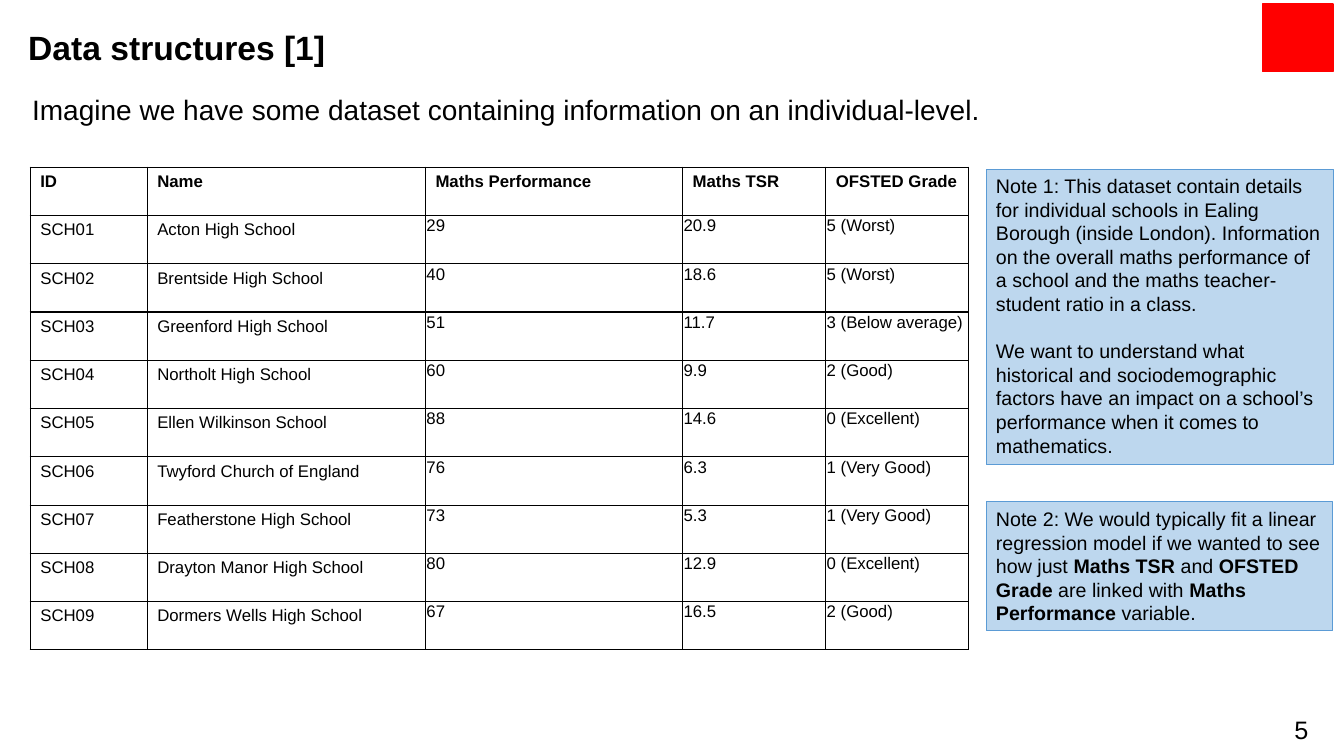
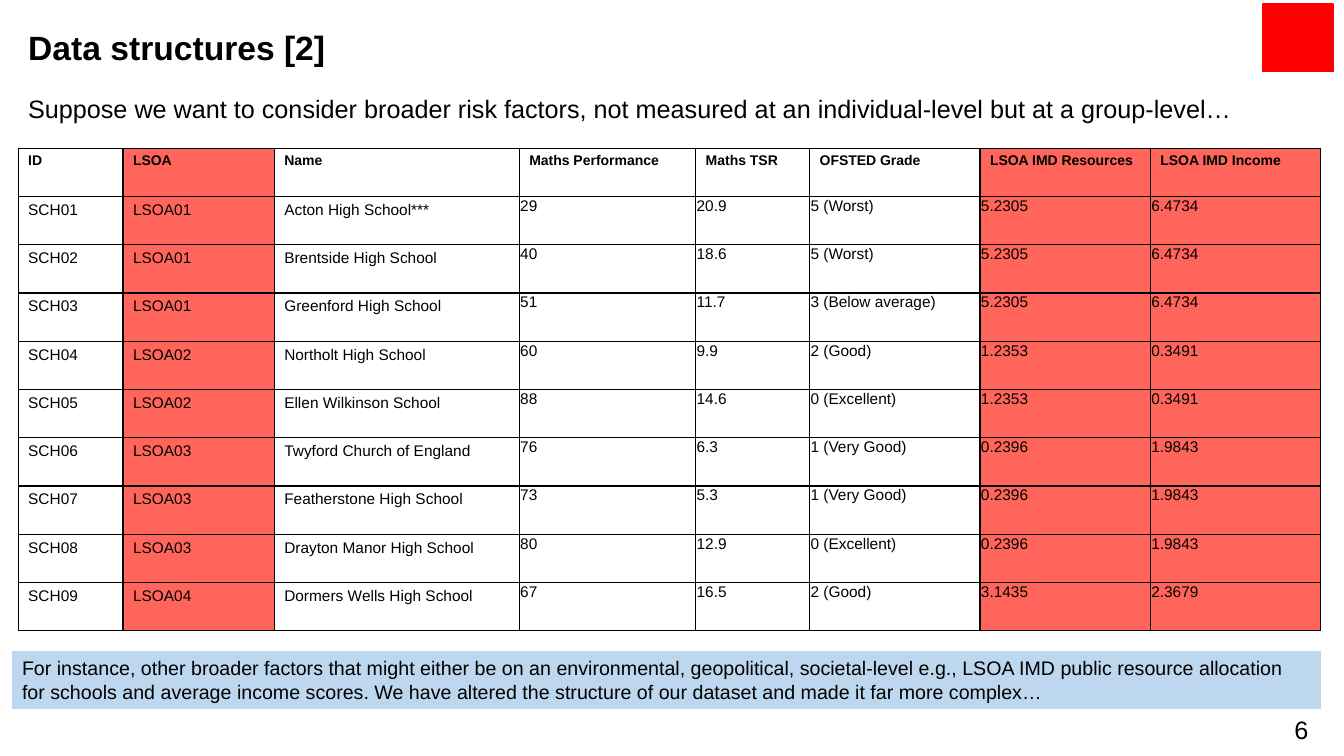
from lxml import etree
from pptx import Presentation
from pptx.dml.color import RGBColor
from pptx.enum.shapes import MSO_SHAPE
from pptx.enum.text import MSO_ANCHOR, MSO_AUTO_SIZE, PP_ALIGN
from pptx.oxml.ns import qn
from pptx.util import Inches, Pt

RECTANGLE = MSO_SHAPE.RECTANGLE
TOP = MSO_ANCHOR.TOP
LEFT = PP_ALIGN.LEFT
GROW = MSO_AUTO_SIZE.SHAPE_TO_FIT_TEXT
FIXED = MSO_AUTO_SIZE.NONE

COLORS = {
    "text": "000000",
    "marker": "FF0000",
    "note": "BDD7EE",
    "note_edge": "5B9BD5",
    "group": "FF655B",
    "border": "000000",
}
TABLE_HEIGHT = 4.79
VALUE_MARGINS = {
    "margin_left": Inches(0.01),
    "margin_top": Inches(0.01),
    "margin_right": Inches(0.01),
    "margin_bottom": 0,
}

# School records, shared by both tables
SCHOOL_HEADER = ["ID", "Name", "Maths Performance", "Maths TSR", "OFSTED Grade"]
SCHOOLS = [
    ["SCH01", "Acton High School", "29", "20.9", "5 (Worst)"],
    ["SCH02", "Brentside High School", "40", "18.6", "5 (Worst)"],
    ["SCH03", "Greenford High School", "51", "11.7", "3 (Below average)"],
    ["SCH04", "Northolt High School", "60", "9.9", "2 (Good)"],
    ["SCH05", "Ellen Wilkinson School", "88", "14.6", "0 (Excellent)"],
    ["SCH06", "Twyford Church of England", "76", "6.3", "1 (Very Good)"],
    ["SCH07", "Featherstone High School", "73", "5.3", "1 (Very Good)"],
    ["SCH08", "Drayton Manor High School", "80", "12.9", "0 (Excellent)"],
    ["SCH09", "Dormers Wells High School", "67", "16.5", "2 (Good)"],
]

# Area scores, joined to the schools on the second slide
AREA_SCORES = {
    "LSOA01": ["5.2305", "6.4734"],
    "LSOA02": ["1.2353", "0.3491"],
    "LSOA03": ["0.2396", "1.9843"],
    "LSOA04": ["3.1435", "2.3679"],
}
SCHOOL_AREAS = ["LSOA01"] * 3 + ["LSOA02"] * 2 + ["LSOA03"] * 3 + ["LSOA04"]

grouped_rows = [["ID", "LSOA", *SCHOOL_HEADER[1:], "LSOA IMD Resources", "LSOA IMD Income"]]
for school, area in zip(SCHOOLS, SCHOOL_AREAS):
    grouped_rows.append([school[0], area, *school[1:], *AREA_SCORES[area]])
grouped_rows[1][2] += "***"

SLIDES = [
    {
        "number": "5",
        "title": "Data structures [1]",
        "lead": "Imagine we have some dataset containing information on an individual-level.",
        "lead_box": (0.22, 0.87, 9.78, 0.44),
        "lead_size": 20,
        "rows": [SCHOOL_HEADER] + SCHOOLS,
        "table_at": (0.3, 1.66),
        "widths": [1.16, 2.76, 2.55, 1.42, 1.42],
        "sizes": (12, 12),
        "group_columns": (),
        "notes": [
            ((9.78, 1.68, 3.45, 2.93), "note_edge", [
                [("Note 1: This dataset contain details for individual schools in Ealing Borough "
                  "(inside London). Information on the overall maths performance of a school and "
                  "the maths teacher-student ratio in a class.", False)],
                [("We want to understand what historical and sociodemographic factors have an "
                  "impact on a school’s performance when it comes to mathematics.", False)],
            ]),
            ((9.78, 4.98, 3.44, 1.28), "note_edge", [
                [("Note 2: We would typically fit a linear regression model if we wanted to see "
                  "how just ", False),
                 ("Maths TSR ", True), ("and ", False), ("OFSTED Grade ", True),
                 ("are linked with ", False), ("Maths Performance", True), (" variable.", False)],
            ]),
        ],
    },
    {
        "number": "6",
        "title": "Data structures [2]",
        "lead": "Suppose we want to consider broader risk factors, not measured at an "
                "individual-level but at a group-level…",
        "lead_box": (0.18, 0.88, 12.92, 0.4),
        "lead_size": 18,
        "rows": grouped_rows,
        "table_at": (0.18, 1.47),
        "widths": [1.04, 1.5, 2.43, 1.75, 1.13, 1.69, 1.69, 1.69],
        "sizes": (10, 11),
        "group_columns": (1, 6, 7),
        "notes": [
            ((0.12, 6.46, 12.98, 0.57), "note", [
                [("For instance, other broader factors that might either be on an environmental, "
                  "geopolitical, societal-level e.g., LSOA IMD public resource allocation for "
                  "schools and average income scores. We have altered the structure of our "
                  "dataset and made it far more complex…", False)],
            ]),
        ],
    },
]


def write(paragraph, text, size, bold=False):
    """Add a left-aligned run in the deck's font."""
    paragraph.alignment = LEFT
    run = paragraph.add_run()
    run.text = text
    font_format = {"name": "Arial", "size": Pt(size), "bold": bold}
    for attribute, value in font_format.items():
        setattr(run.font, attribute, value)
    run.font.color.rgb = RGBColor.from_string(COLORS["text"])


def add_panel(slide, box, fill, edge, edge_width):
    """Add a flat rectangle and return it."""
    panel = slide.shapes.add_shape(RECTANGLE, *map(Inches, box))
    panel.shadow.inherit = False
    panel.fill.solid()
    panel.fill.fore_color.rgb = RGBColor.from_string(COLORS[fill])
    panel.line.color.rgb = RGBColor.from_string(COLORS[edge])
    panel.line.width = Pt(edge_width)
    return panel


prs = Presentation()
prs.slide_width, prs.slide_height = Inches(13.33), Inches(7.5)
title_only = prs.slide_layouts[5]

for content in SLIDES:
    slide = prs.slides.add_slide(title_only)

    # Title
    title = slide.shapes.title
    title.left, title.top, title.width, title.height = map(Inches, (0.18, 0.22, 11.44, 0.5))
    title.text_frame.auto_size = FIXED
    write(title.text_frame.paragraphs[0], content["title"], 24, True)

    # Corner marker
    add_panel(slide, (12.52, 0.04, 0.7, 0.67), "marker", "marker", 1)

    # Lead sentence and page number
    for box, text, size in [
        (content["lead_box"], content["lead"], content["lead_size"]),
        ((12.74, 7.04, 0.59, 0.16), content["number"], 18),
    ]:
        caption = slide.shapes.add_textbox(*map(Inches, box)).text_frame
        caption.word_wrap = True
        write(caption.paragraphs[0], text, size)

    # Data table
    rows, widths = content["rows"], content["widths"]
    left, top = content["table_at"]
    table = slide.shapes.add_table(
        len(rows), len(widths), Inches(left), Inches(top),
        Inches(sum(widths)), Inches(TABLE_HEIGHT),
    ).table
    table.first_row = table.horz_banding = False
    for column, width in zip(table.columns, widths):
        column.width = Inches(width)
    first_value = rows[0].index("Maths Performance")
    header_size, body_size = content["sizes"]

    for r, row in enumerate(rows):
        table.rows[r].height = Inches(TABLE_HEIGHT / len(rows))
        for c, text in enumerate(row):
            cell = table.cell(r, c)
            write(cell.text_frame.paragraphs[0], text, body_size if r else header_size, r == 0)
            if r and c >= first_value:
                for attribute, value in VALUE_MARGINS.items():
                    setattr(cell, attribute, value)

            # Cell borders come before the fill in the XML
            properties = cell._tc.get_or_add_tcPr()
            for side in ("a:lnL", "a:lnR", "a:lnT", "a:lnB"):
                border = etree.SubElement(properties, qn(side), w=str(Pt(1)))
                border_fill = etree.SubElement(border, qn("a:solidFill"))
                etree.SubElement(border_fill, qn("a:srgbClr"), val=COLORS["border"])
            if c in content["group_columns"]:
                cell.fill.solid()
                cell.fill.fore_color.rgb = RGBColor.from_string(COLORS["group"])
            else:
                cell.fill.background()

    # Notes
    for box, edge, paragraphs in content["notes"]:
        note = add_panel(slide, box, "note", edge, 0.75).text_frame
        note_format = {"word_wrap": True, "auto_size": GROW, "vertical_anchor": TOP}
        for attribute, value in note_format.items():
            setattr(note, attribute, value)
        for i, pieces in enumerate(paragraphs):
            paragraph = note.add_paragraph() if i else note.paragraphs[0]
            paragraph.space_before = Pt(17 if i else 0)
            for text, bold in pieces:
                write(paragraph, text, 14, bold)

prs.save("out.pptx")
